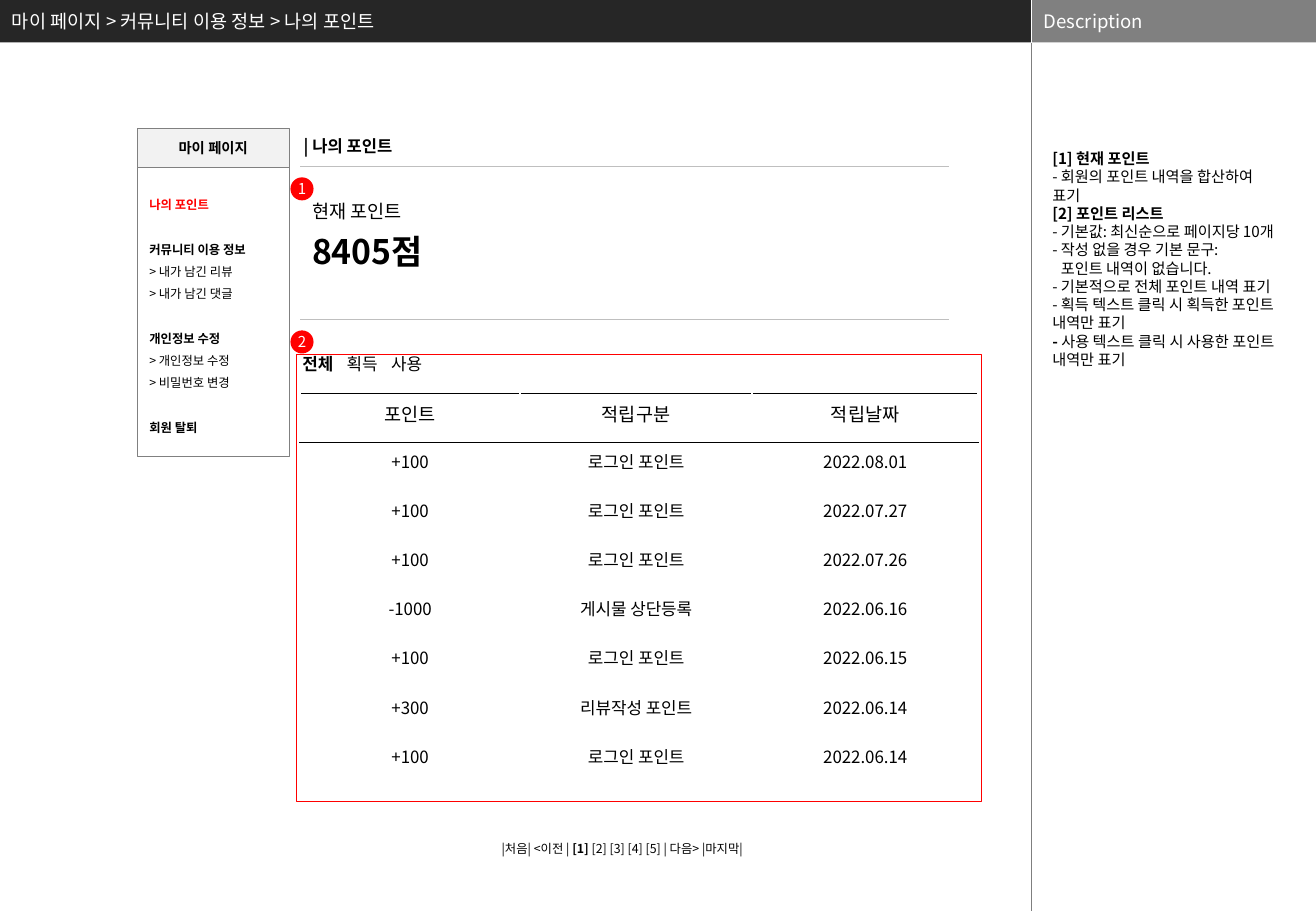
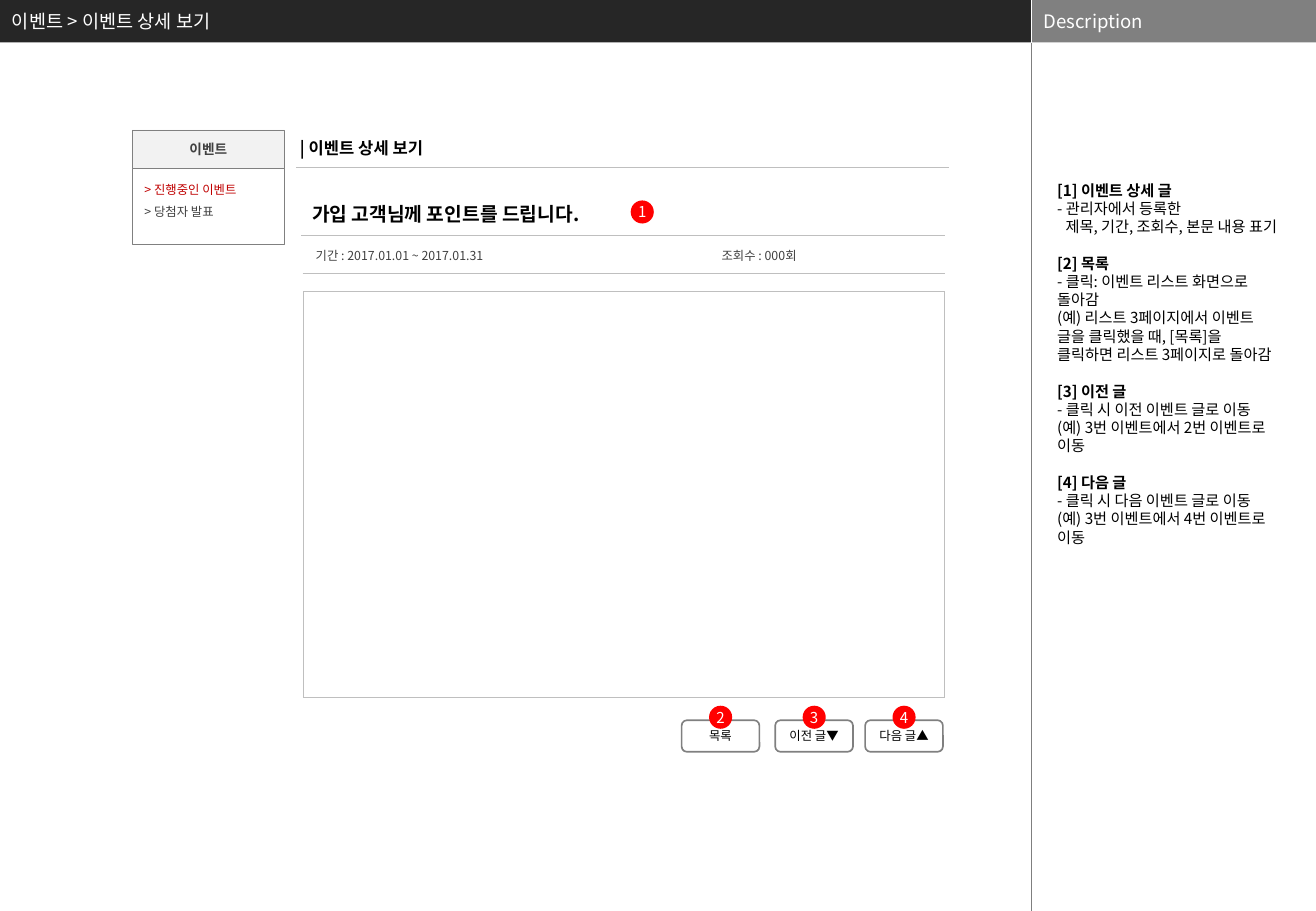
from dataclasses import dataclass
from lxml.etree import SubElement
from pptx import Presentation
from pptx.dml.color import RGBColor
from pptx.enum.shapes import MSO_CONNECTOR as CONN, MSO_SHAPE as SHAPE
from pptx.enum.text import MSO_ANCHOR as ANCHOR, PP_ALIGN as ALIGN
from pptx.oxml import parse_xml
from pptx.oxml.ns import nsdecls, qn
from pptx.util import Inches, Pt


@dataclass(frozen=True)
class Theme:
    font: str = "Noto Sans CJK KR"
    black: str = "000000"
    white: str = "FFFFFF"
    bar: str = "262626"
    gray: str = "808080"
    divider: str = "7F7F7F"
    rule: str = "BFBFBF"
    panel: str = "F2F2F2"
    muted: str = "404040"
    red: str = "FF0000"
    dark_red: str = "C00000"
    small: float = 7.3
    badge: float = 8.9
    note: float = 9
    heading: float = 9.8
    body: float = 10
    large: float = 11
    event: float = 11.4
    points: float = 20
    note_gap: float = 10.8
    menu_gap: float = 13.2


@dataclass(frozen=True)
class Para:
    text: str | tuple
    bold: bool | None = None
    color: str | None = None
    before: float = 0
    indent: float = 0


T = Theme()
WIDTH, HEIGHT, BAR_H, MAIN_W = 10.83, 7.5, 0.35, 8.49
MENU_W, MENU_HEAD_H = 1.25, 0.32
BADGE = 0.19
BUTTON_W, BUTTON_H = 0.64, 0.26


def box(x, y, w, h):
    return Inches(x), Inches(y), Inches(w), Inches(h)


def rgb(color):
    return RGBColor.from_string(color)


def write(tf, *paras, size=T.body, color=T.black, bold=False, align=ALIGN.LEFT,
          anchor=ANCHOR.TOP, spacing=None, inset=None):
    tf.word_wrap = True
    tf.vertical_anchor = anchor
    if inset is not None:
        tf.margin_left = tf.margin_right = Inches(inset)
        tf.margin_top = tf.margin_bottom = 0
    for i, item in enumerate(paras):
        para = item if isinstance(item, Para) else Para(item)
        p = tf.paragraphs[0] if i == 0 else tf.add_paragraph()
        p.alignment = align
        if spacing:
            p.line_spacing = spacing
        if para.before:
            p.space_before = Pt(para.before)
        if para.indent:
            p._p.get_or_add_pPr().set("indent", str(Inches(para.indent)))
        default = bold if para.bold is None else para.bold
        runs = ((para.text, default),) if isinstance(para.text, str) else para.text
        for words, strong in runs:
            r = p.add_run()
            r.text = words
            r.font.size = Pt(size)
            r.font.bold = strong
            r.font.color.rgb = rgb(para.color or color)
            r.font.name = T.font
            SubElement(r._r.get_or_add_rPr(), qn("a:ea"), typeface=T.font)


def text(s, x, y, w, h, *paras, **style):
    sp = s.shapes.add_textbox(*box(x, y, w, h))
    write(sp.text_frame, *paras, **style)


def shape(s, kind, x, y, w, h, *paras, fill=None, line=None, width=0.5, **style):
    sp = s.shapes.add_shape(kind, *box(x, y, w, h))
    sp.shadow.inherit = False
    if fill:
        sp.fill.solid()
        sp.fill.fore_color.rgb = rgb(fill)
    else:
        sp.fill.background()
    if line:
        sp.line.color.rgb = rgb(line)
        sp.line.width = Pt(width)
    else:
        sp.line.fill.background()
    if paras:
        write(sp.text_frame, *paras, **style)


def rule(s, x1, y1, x2, y2, color=T.rule, width=0.5):
    c = s.shapes.add_connector(CONN.STRAIGHT, *box(x1, y1, x2, y2))
    c.line.color.rgb = rgb(color)
    c.line.width = Pt(width)
    SubElement(c._element.spPr, qn("a:effectLst"))


def badge(s, number, x, y):
    shape(s, SHAPE.OVAL, x, y, BADGE, BADGE, str(number), fill=T.red, size=T.badge,
          color=T.white, align=ALIGN.CENTER, anchor=ANCHOR.MIDDLE, inset=0)


def button(s, number, label, x, y):
    shape(s, SHAPE.ROUNDED_RECTANGLE, x, y, BUTTON_W, BUTTON_H, label, fill=T.white,
          line=T.gray, width=1, size=T.small, align=ALIGN.CENTER, anchor=ANCHOR.MIDDLE)
    badge(s, number, x + (BUTTON_W - BADGE) / 2, y - 0.12)


def menu(s, x, y, h, title, *items, size, color=T.black, anchor=ANCHOR.MIDDLE):
    shape(s, SHAPE.RECTANGLE, x, y + MENU_HEAD_H, MENU_W, h, *items, line=T.gray,
          size=T.small, color=color, anchor=anchor, spacing=1.5)
    shape(s, SHAPE.RECTANGLE, x, y, MENU_W, MENU_HEAD_H, title, fill=T.panel, line=T.gray,
          size=size, color=color, bold=True, align=ALIGN.CENTER, anchor=ANCHOR.MIDDLE)


def borders(cell, sides, color, width):
    tcPr = cell._tc.get_or_add_tcPr()
    for i, side in enumerate(sides):
        tcPr.insert(i, parse_xml(
            f'<a:ln{side} {nsdecls("a")} w="{Pt(width)}"><a:solidFill>'
            f'<a:srgbClr val="{color}"/></a:solidFill></a:ln{side}>'))


def table(s, x, y, h, widths, rows):
    frame = s.shapes.add_table(rows, len(widths), *box(x, y, sum(widths), h))
    tbl = frame.table
    tbl.first_row = tbl.horz_banding = False
    for column, width in zip(tbl.columns, widths):
        column.width = Inches(width)
    for cell in tbl.iter_cells():
        cell.fill.background()
    return tbl


def point_table(s, x, y, h, widths, rows):
    tbl = table(s, x, y, h, widths, len(rows))
    for i, row in enumerate(rows):
        for j, value in enumerate(row):
            cell = tbl.cell(i, j)
            write(cell.text_frame, value, size=T.body if i else T.large, align=ALIGN.CENTER)
            borders(cell, {0: "TB", 1: "T"}.get(i, ""), T.black, 1)


def content_area(s, x, y, w, h):
    cell = table(s, x, y, h, [w], 1).cell(0, 0)
    cell.fill.solid()
    cell.fill.fore_color.rgb = rgb(T.white)
    borders(cell, "LRTB", T.rule, 0.5)


def screen(prs, breadcrumb):
    s = prs.slides.add_slide(prs.slide_layouts[6])
    shape(s, SHAPE.RECTANGLE, 0, 0, MAIN_W, BAR_H, fill=T.bar)
    shape(s, SHAPE.RECTANGLE, MAIN_W, 0, WIDTH - MAIN_W, BAR_H, fill=T.gray)
    rule(s, MAIN_W, 0, MAIN_W, BAR_H, T.white, 0.25)
    rule(s, MAIN_W, BAR_H, MAIN_W, HEIGHT, T.divider, 0.25)
    for x, w, words in ((0, 8.25, breadcrumb), (MAIN_W, WIDTH - MAIN_W, "Description")):
        text(s, x, 0, w, BAR_H, words, size=T.large, color=T.white, anchor=ANCHOR.MIDDLE)
    return s


def description(s, x, y, *paras):
    text(s, x, y, 1.9, 5.66, *paras, size=T.note, inset=0.03)


def points_slide(prs):
    s = screen(prs, "마이 페이지 > 커뮤니티 이용 정보 > 나의 포인트")
    description(
        s, 8.63, 1.23,
        Para("[1] 현재 포인트", bold=True),
        "- 회원의 포인트 내역을 합산하여 표기",
        Para("[2] 포인트 리스트", bold=True),
        "- 기본값: 최신순으로 페이지당 10개",
        "- 작성 없을 경우 기본 문구:",
        Para("포인트 내역이 없습니다.", indent=0.07),
        "- 기본적으로 전체 포인트 내역 표기",
        "- 획득 텍스트 클릭 시 획득한 포인트 내역만 표기",
        Para((("- ", True), ("사용 텍스트 클릭 시 사용한 포인트 내역만 표기", False))))
    menu(s, 1.13, 1.06, 2.38, "마이 페이지",
         Para("나의 포인트", bold=True, color=T.red),
         Para("커뮤니티 이용 정보", bold=True, before=T.menu_gap),
         "> 내가 남긴 리뷰",
         "> 내가 남긴 댓글",
         Para("개인정보 수정", bold=True, before=T.menu_gap),
         "> 개인정보 수정",
         "> 비밀번호 변경",
         Para("회원 탈퇴", bold=True, before=T.menu_gap), size=8.5)
    text(s, 2.4, 1.07, 2.24, 0.27, "| 나의 포인트", size=T.heading, bold=True)
    for y in (1.37, 2.63):
        rule(s, 2.47, y, 7.81, y, width=0.75)
    text(s, 2.47, 1.6, 2.67, 0.29, "현재 포인트", size=T.large)
    text(s, 2.47, 1.85, 2.67, 0.44, "8405점", size=T.points, bold=True)
    for i, label in enumerate(("전체", "획득", "사용")):
        text(s, 2.39 + 0.365 * i, 2.86, 0.71, 0.27, label, bold=i == 0)
    login = "로그인 포인트"
    point_table(s, 2.47, 3.24, 3.24, [1.81, 1.91, 1.86], [
        ("포인트", "적립구분", "적립날짜"),
        ("+100", login, "2022.08.01"),
        ("+100", login, "2022.07.27"),
        ("+100", login, "2022.07.26"),
        ("-1000", "게시물 상단등록", "2022.06.16"),
        ("+100", login, "2022.06.15"),
        ("+300", "리뷰작성 포인트", "2022.06.14"),
        ("+100", login, "2022.06.14")])
    shape(s, SHAPE.RECTANGLE, 2.44, 2.92, 5.64, 3.68, line=T.red, width=0.75)
    for number, y in ((1, 1.46), (2, 2.72)):
        badge(s, number, 2.39, y)
    text(s, 4.03, 6.88, 2.6, 0.22,
         Para((("|처음| <이전 | ", False), ("[1]", True),
               (" [2] [3] [4] [5] | 다음> |마지막|", False))), size=T.small)


def event_slide(prs):
    s = screen(prs, "이벤트 > 이벤트 상세 보기")
    description(
        s, 8.67, 1.49,
        Para("[1] 이벤트 상세 글", bold=True),
        "- 관리자에서 등록한",
        Para("제목, 기간, 조회수, 본문 내용 표기", indent=0.07),
        Para("[2] 목록", bold=True, before=T.note_gap),
        "- 클릭: 이벤트 리스트 화면으로 돌아감",
        "(예) 리스트 3페이지에서 이벤트 글을 클릭했을 때, [목록]을 클릭하면 리스트 3페이지로 돌아감",
        Para("[3] 이전 글", bold=True, before=T.note_gap),
        "- 클릭 시 이전 이벤트 글로 이동",
        "(예) 3번 이벤트에서 2번 이벤트로 이동",
        Para("[4] 다음 글", bold=True, before=T.note_gap),
        "- 클릭 시 다음 이벤트 글로 이동",
        "(예) 3번 이벤트에서 4번 이벤트로 이동")
    menu(s, 1.09, 1.07, 0.62, "이벤트",
         Para("> 진행중인 이벤트", color=T.dark_red), "> 당첨자 발표",
         size=8.1, color=T.muted, anchor=ANCHOR.TOP)
    text(s, 2.37, 1.09, 2.24, 0.27, "| 이벤트 상세 보기", size=T.heading, bold=True)
    text(s, 2.47, 1.62, 2.65, 0.29, "가입 고객님께 포인트를 드립니다.", size=T.event, bold=True)
    text(s, 2.5, 1.99, 2, 0.22, "기간 : 2017.01.01 ~ 2017.01.31", size=T.small, color=T.muted)
    text(s, 5.84, 1.99, 1.5, 0.22, "조회수 : 000회", size=T.small, color=T.muted)
    for x1, x2, y in ((2.44, 7.81, 1.38), (2.48, 7.78, 1.94), (2.49, 7.78, 2.25)):
        rule(s, x1, y, x2, y)
    content_area(s, 2.5, 2.4, 5.27, 3.34)
    badge(s, 1, 5.19, 1.65)
    buttons = ((5.61, "목록"), (6.38, "이전 글▼"), (7.12, "다음 글▲"))
    for number, (x, label) in enumerate(buttons, 2):
        button(s, number, label, x, 5.93)


def main():
    prs = Presentation()
    prs.slide_width, prs.slide_height = Inches(WIDTH), Inches(HEIGHT)
    points_slide(prs)
    event_slide(prs)
    prs.save("out.pptx")


if __name__ == "__main__":
    main()
